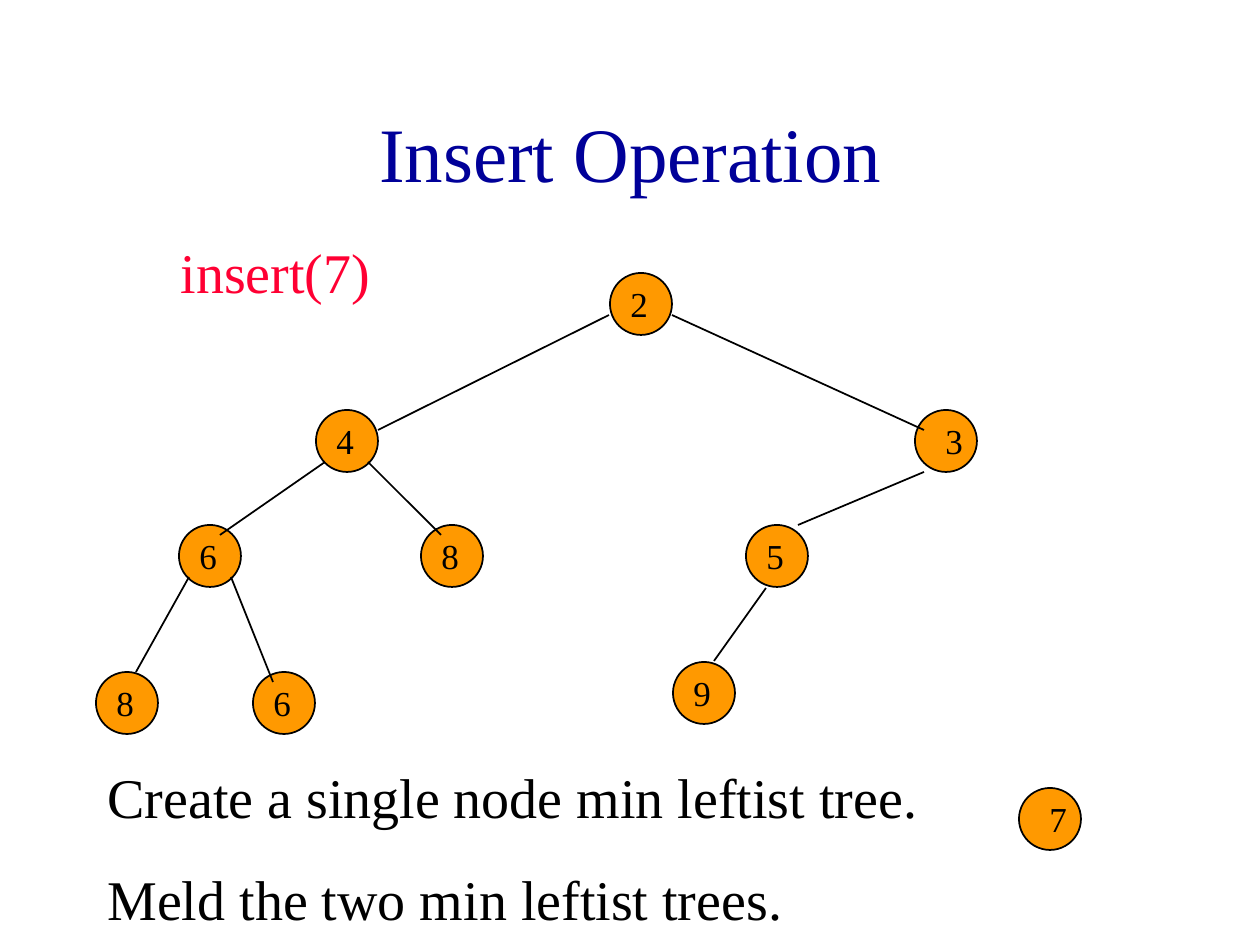
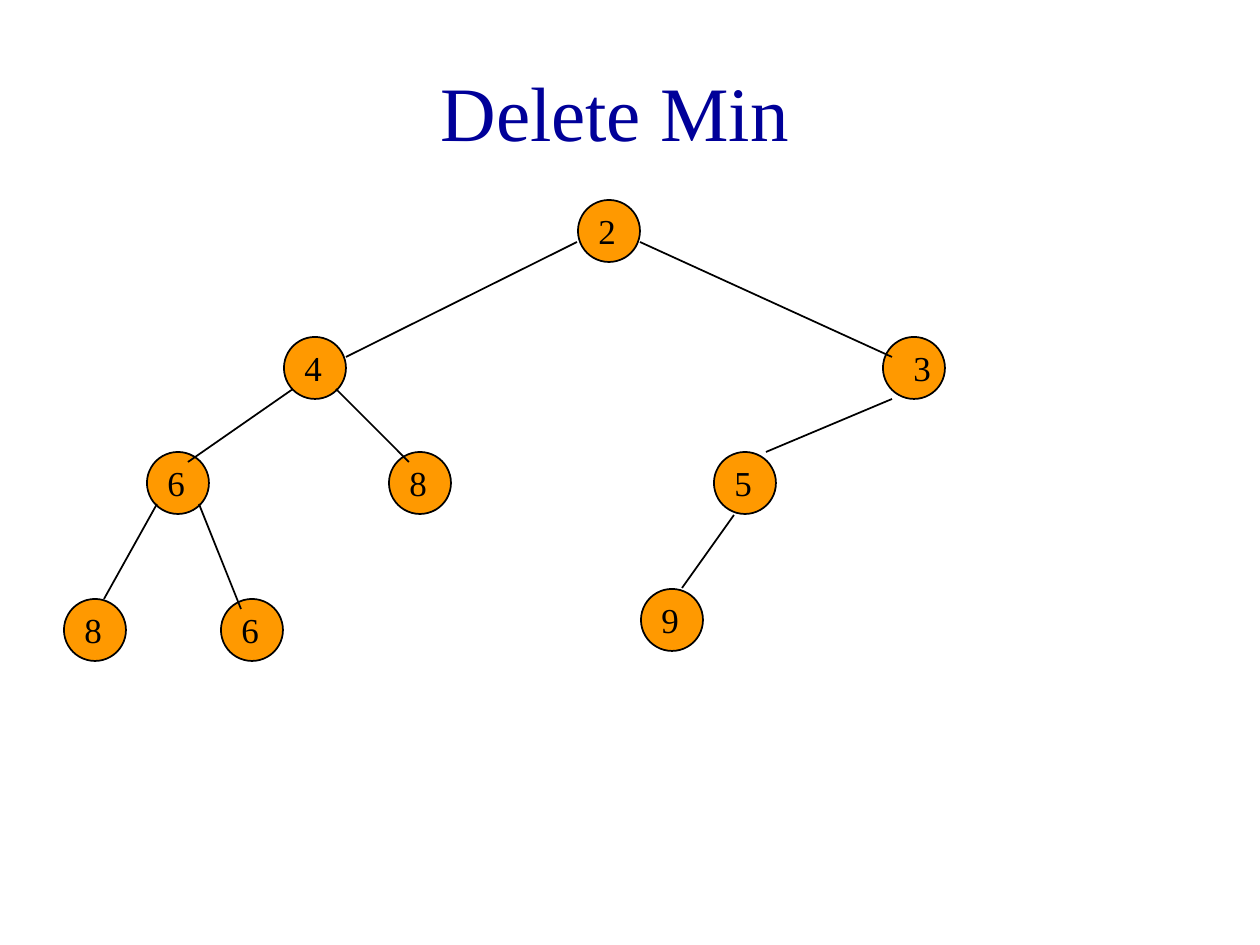
import pptx
import pptx.dml.color
import pptx.enum.shapes
import pptx.enum.text
import pptx.oxml.ns
import pptx.util
from lxml import etree

EMU_PER_PX = 914400 / 126
FONT = "Times New Roman"
NAVY = pptx.dml.color.RGBColor(0x00, 0x00, 0x99)
RED = pptx.dml.color.RGBColor(0xFF, 0x00, 0x33)
ORANGE = pptx.dml.color.RGBColor(0xFF, 0x99, 0x00)
BLACK = pptx.dml.color.RGBColor(0x00, 0x00, 0x00)
LEFT = pptx.enum.text.PP_ALIGN.LEFT
CENTER = pptx.enum.text.PP_ALIGN.CENTER
TOP = pptx.enum.text.MSO_ANCHOR.TOP
MIDDLE = pptx.enum.text.MSO_ANCHOR.MIDDLE

TITLE_SLIDE, TITLE_ONLY = 0, 5
NODE_SIZE = 62
LABEL_INSET, WIDE_LABEL_INSET = 8, 18

TREE_NODES = [
    ("2", 514, 0, LABEL_INSET),
    ("4", 220, 137, LABEL_INSET),
    ("3", 819, 137, WIDE_LABEL_INSET),
    ("6", 83, 252, LABEL_INSET),
    ("8", 325, 252, LABEL_INSET),
    ("5", 650, 252, LABEL_INSET),
    ("8", 0, 399, LABEL_INSET),
    ("6", 157, 399, LABEL_INSET),
    ("9", 577, 389, LABEL_INSET),
]
TREE_EDGES = [
    (513, 42, 282, 157),
    (576, 42, 828, 157),
    (229, 189, 124, 262),
    (272, 189, 345, 262),
    (828, 199, 702, 252),
    (93, 304, 40, 399),
    (135, 304, 177, 409),
    (670, 315, 618, 388),
]


def px(*lengths):
    """Turn pixel lengths into a list of EMU lengths."""
    return [pptx.util.Emu(round(length * EMU_PER_PX)) for length in lengths]


def write(frame, lines, size, color, align=LEFT, anchor=TOP, gap=0, wrap=True):
    """Fill a text frame with one paragraph for each line."""
    frame.word_wrap = wrap
    frame.auto_size = pptx.enum.text.MSO_AUTO_SIZE.NONE
    frame.vertical_anchor = anchor
    for index, line in enumerate(lines):
        paragraph = frame.add_paragraph() if index else frame.paragraphs[0]
        paragraph.alignment = align
        paragraph.space_before = pptx.util.Pt(gap if index else 0)
        run = paragraph.add_run()
        run.text = line
        run.font.name = FONT
        run.font.size = pptx.util.Pt(size)
        run.font.color.rgb = color


def place(placeholder, box):
    """Move a placeholder to a box."""
    placeholder.left, placeholder.top, placeholder.width, placeholder.height = px(*box)


def add_titled_slide(deck, layout, title, box):
    """Add a slide with a centred navy title."""
    slide = deck.slides.add_slide(deck.slide_layouts[layout])
    place(slide.shapes.title, box)
    write(slide.shapes.title.text_frame, [title], 44, NAVY, CENTER, MIDDLE)
    return slide


def draw_node(slide, left, top):
    """Draw the circle of one tree node."""
    circle = slide.shapes.add_shape(
        pptx.enum.shapes.MSO_SHAPE.OVAL, *px(left, top, NODE_SIZE, NODE_SIZE))
    circle.shadow.inherit = False
    circle.fill.solid()
    circle.fill.fore_color.rgb = ORANGE
    circle.line.color.rgb = BLACK
    circle.line.width = pptx.util.Pt(1)


def draw_edge(slide, *ends):
    """Draw a line from a parent node to a child node."""
    edge = slide.shapes.add_connector(
        pptx.enum.shapes.MSO_CONNECTOR.STRAIGHT, *px(*ends))
    edge.line.color.rgb = BLACK
    edge.line.width = pptx.util.Pt(1)
    etree.SubElement(edge._element.spPr, pptx.oxml.ns.qn("a:effectLst"))


def label_node(slide, key, left, top, inset):
    """Write the key of a node over its circle."""
    label = slide.shapes.add_textbox(*px(left + inset, top + 3, 43, 54))
    write(label.text_frame, [key], 20, BLACK, wrap=False)


def draw_tree(slide, left, top):
    """Draw the min leftist tree with its box starting at left, top."""
    for _, x, y, _ in TREE_NODES:
        draw_node(slide, left + x, top + y)
    for x1, y1, x2, y2 in TREE_EDGES:
        draw_edge(slide, left + x1, top + y1, left + x2, top + y2)
    for key, x, y, inset in TREE_NODES:
        label_node(slide, key, left + x, top + y, inset)


def insert_slide(deck):
    """Build the slide on inserting 7."""
    slide = add_titled_slide(deck, TITLE_SLIDE, "Insert Operation", (95, 73, 1071, 158))
    call = slide.placeholders[1]
    place(call, (168, 231, 882, 242))
    write(call.text_frame, ["insert(7)"], 32, RED)
    draw_tree(slide, 96, 273)
    steps = slide.shapes.add_textbox(*px(95, 756, 1050, 183))
    write(steps.text_frame,
          ["Create a single node min leftist tree.", "Meld the two min leftist trees."],
          32, BLACK, gap=20)
    draw_node(slide, 1019, 788)
    label_node(slide, "7", 1019, 788, WIDE_LABEL_INSET)


def delete_min_slide(deck):
    """Build the slide on deleting the minimum."""
    slide = add_titled_slide(deck, TITLE_ONLY, "Delete Min ", (10, 32, 1229, 158))
    draw_tree(slide, 64, 200)


def main():
    """Build and save the deck."""
    deck = pptx.Presentation()
    deck.slide_width, deck.slide_height = px(1260, 945)
    insert_slide(deck)
    delete_min_slide(deck)
    deck.save("out.pptx")


if __name__ == "__main__":
    main()
